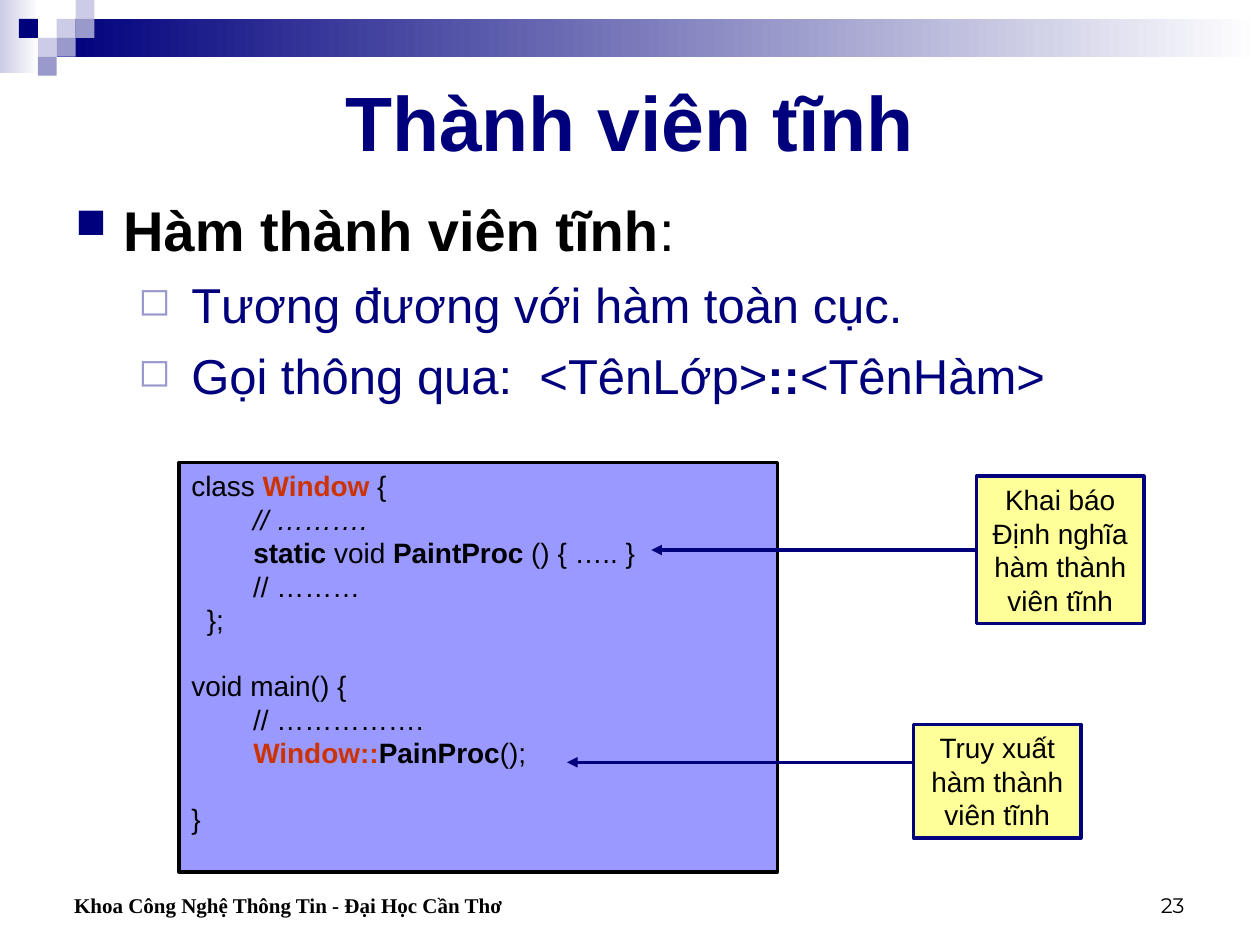
import pptx
import pptx.util
import pptx.dml.color
import pptx.enum.shapes
import pptx.enum.text
import pptx.oxml.ns
from dataclasses import dataclass
from lxml import etree

Inches, Pt = pptx.util.Inches, pptx.util.Pt
RGB = pptx.dml.color.RGBColor.from_string
PP_ALIGN = pptx.enum.text.PP_ALIGN
ANCHOR = pptx.enum.text.MSO_ANCHOR
qn = pptx.oxml.ns.qn


@dataclass(frozen=True)
class Theme:
    navy: str = "00007D"
    mid: str = "9999CC"
    pale: str = "CCCCE6"
    white: str = "FFFFFF"
    black: str = "000000"
    code_fill: str = "9999FF"
    note_fill: str = "FFFF99"
    red: str = "CC3300"
    font: str = "Arial"
    footer_font: str = "Times New Roman"
    number_font: str = "Montserrat"
    title_size: int = 44
    head_size: int = 32
    item_size: int = 28
    code_size: int = 16
    foot_size: int = 12
    line_width: int = 2


class SlideBuilder:
    def __init__(self, prs, theme):
        self.theme = theme
        self.slide = prs.slides.add_slide(prs.slide_layouts[5])
        self.shapes = self.slide.shapes

    def rect(self, at, fill, line=None):
        """Draw a rectangle; a pair of colours fills it from left to right."""
        sp = self.shapes.add_shape(
            pptx.enum.shapes.MSO_SHAPE.RECTANGLE, *map(Inches, at))
        sp.shadow.inherit = False
        if isinstance(fill, tuple):
            sp.fill.gradient()
            sp.fill.gradient_angle = 0
            for stop, color in zip(sp.fill.gradient_stops, fill):
                stop.color.rgb = RGB(color)
        else:
            sp.fill.solid()
            sp.fill.fore_color.rgb = RGB(fill)
        if line:
            sp.line.color.rgb = RGB(line)
            sp.line.width = Pt(self.theme.line_width)
        else:
            sp.line.fill.background()
        return sp

    def frame(self, sp, anchor=ANCHOR.TOP, wrap=True):
        tf = sp.text_frame
        formats = {"word_wrap": wrap, "vertical_anchor": anchor,
                   "auto_size": pptx.enum.text.MSO_AUTO_SIZE.NONE}
        for name, value in formats.items():
            setattr(tf, name, value)
        return tf

    def add_runs(self, p, runs, size, color=None, font=None,
                 align=PP_ALIGN.LEFT):
        """Add runs given as (text, overrides) pairs to a paragraph."""
        p.alignment = align
        for text, changes in runs:
            r = p.add_run()
            r.text = text
            formats = {"name": font or self.theme.font, "size": Pt(size),
                       "color": color or self.theme.black,
                       "bold": False, "italic": False} | changes
            r.font.color.rgb = RGB(formats.pop("color"))
            for name, value in formats.items():
                setattr(r.font, name, value)

    def title(self, at, text):
        sp = self.shapes.title
        for name, value in zip(("left", "top", "width", "height"), at):
            setattr(sp, name, Inches(value))
        p = self.frame(sp, ANCHOR.MIDDLE).paragraphs[0]
        self.add_runs(p, [(text, {"bold": True})], self.theme.title_size,
                      self.theme.navy, align=PP_ALIGN.CENTER)

    def label(self, at, text, font, align=PP_ALIGN.LEFT, bold=False):
        sp = self.shapes.add_textbox(*map(Inches, at))
        p = self.frame(sp, ANCHOR.BOTTOM).paragraphs[0]
        self.add_runs(p, [(text, {"bold": bold})], self.theme.foot_size,
                      font=font, align=align)

    def bullet(self, p, char, color, percent, margin, hang):
        pPr = p._p.get_or_add_pPr()
        pPr.set("marL", str(Inches(margin)))
        pPr.set("indent", str(-Inches(hang)))
        clr = etree.SubElement(pPr, qn("a:buClr"))
        etree.SubElement(clr, qn("a:srgbClr"), val=color)
        etree.SubElement(pPr, qn("a:buSzPct"), val=str(percent * 1000))
        etree.SubElement(pPr, qn("a:buChar"), char=char)

    def outline(self, at, heading, items):
        t = self.theme
        tf = self.frame(self.shapes.add_textbox(*map(Inches, at)))
        p = tf.paragraphs[0]
        self.bullet(p, "■", t.navy, 75, 0.38, 0.38)
        self.add_runs(p, heading, t.head_size)
        for runs in items:
            p = tf.add_paragraph()
            self.bullet(p, "◻", t.mid, 80, 0.92, 0.42)
            p.space_before = Pt(7)
            self.add_runs(p, runs, t.item_size, t.navy)

    def code(self, at, blocks):
        """Show blocks of code lines, with one line of space between blocks."""
        t = self.theme
        tf = self.frame(self.rect(at, t.code_fill, t.black), wrap=False)
        p = tf.paragraphs[0]
        for b, block in enumerate(blocks):
            for n, runs in enumerate(block):
                if b or n:
                    p = tf.add_paragraph()
                if b and not n:
                    p.space_before = Pt(t.code_size * 1.15)
                self.add_runs(p, runs, t.code_size)

    def note(self, at, text):
        sp = self.rect(at, self.theme.note_fill, self.theme.navy)
        p = self.frame(sp, ANCHOR.MIDDLE).paragraphs[0]
        self.add_runs(p, [(text, {})], self.theme.code_size,
                      align=PP_ALIGN.CENTER)
        return sp

    def arrow(self, x1, x2, y, source=None):
        cx = self.shapes.add_connector(
            pptx.enum.shapes.MSO_CONNECTOR.STRAIGHT,
            *map(Inches, (x1, y, x2, y)))
        if source is not None:
            cx.begin_connect(source, 1)
        cx.line.color.rgb = RGB(self.theme.navy)
        cx.line.width = Pt(self.theme.line_width)
        spPr = cx._element.spPr
        etree.SubElement(spPr.find(qn("a:ln")), qn("a:tailEnd"), type="triangle")
        etree.SubElement(spPr, qn("a:effectLst"))


def main():
    prs = pptx.Presentation()
    prs.slide_width, prs.slide_height = Inches(10), Inches(7.5)
    t = Theme()
    s = SlideBuilder(prs, t)
    bold = {"bold": True}
    red = {"bold": True, "color": t.red}

    s.rect((0, 0, 0.31, 0.58), (t.pale, t.white))
    s.rect((0.45, 0.15, 9.55, 0.3), (t.navy, t.white))
    tile = 0.15
    tiles = {t.pale: [(3, 1), (4, 0), (2, 2)],
             t.mid: [(4, 1), (3, 2), (2, 3)],
             t.navy: [(1, 1)]}
    for color, cells in tiles.items():
        for col, row in cells:
            s.rect((col * tile, row * tile, tile, tile), color)

    s.title((0.5, 0.5, 9, 0.92), "Thành viên tĩnh")
    s.outline((0.5, 1.5, 9, 1.95),
              [("Hàm thành viên tĩnh", bold), (":", {})],
              [[("Tương đương với hàm toàn cục.", {})],
               [("Gọi thông qua:  <TênLớp>", {}), ("::", bold),
                ("<TênHàm>", {})]])

    tab = " " * 8
    s.code((1.42, 3.67, 4.75, 3.25), [
        [[("class ", {}), ("Window", red), (" {", {})],
         [(tab + "// ……….", {"italic": True})],
         [(tab, {}), ("static", bold), (" void ", {}), ("PaintProc", bold),
          (" () { ….. }", {})],
         [(tab + "// ………", {})],
         [("  };", {})]],
        [[("void main() {", {})],
         [(tab + "// …………….", {})],
         [(tab, {}), ("Window::", red), ("PainProc", bold), ("();", {})]],
        [[("}", {})]],
    ])

    s.note((7.25, 5.75, 1.33, 0.9), "Truy xuất hàm thành viên tĩnh")
    s.arrow(7.25, 4.5, 6.05)
    declaration = s.note((7.75, 3.78, 1.33, 1.17),
                         "Khai báo Định nghĩa hàm thành viên tĩnh")
    s.arrow(7.75, 5.17, 3.78 + 1.17 / 2, declaration)

    s.label((0.49, 6.83, 4.59, 0.5), "Khoa Công Nghệ Thông Tin - Đại Học Cần Thơ",
            t.footer_font, bold=True)
    s.label((7.17, 6.83, 2.33, 0.5), "23", t.number_font, PP_ALIGN.RIGHT)
    prs.save("out.pptx")


if __name__ == "__main__":
    main()
